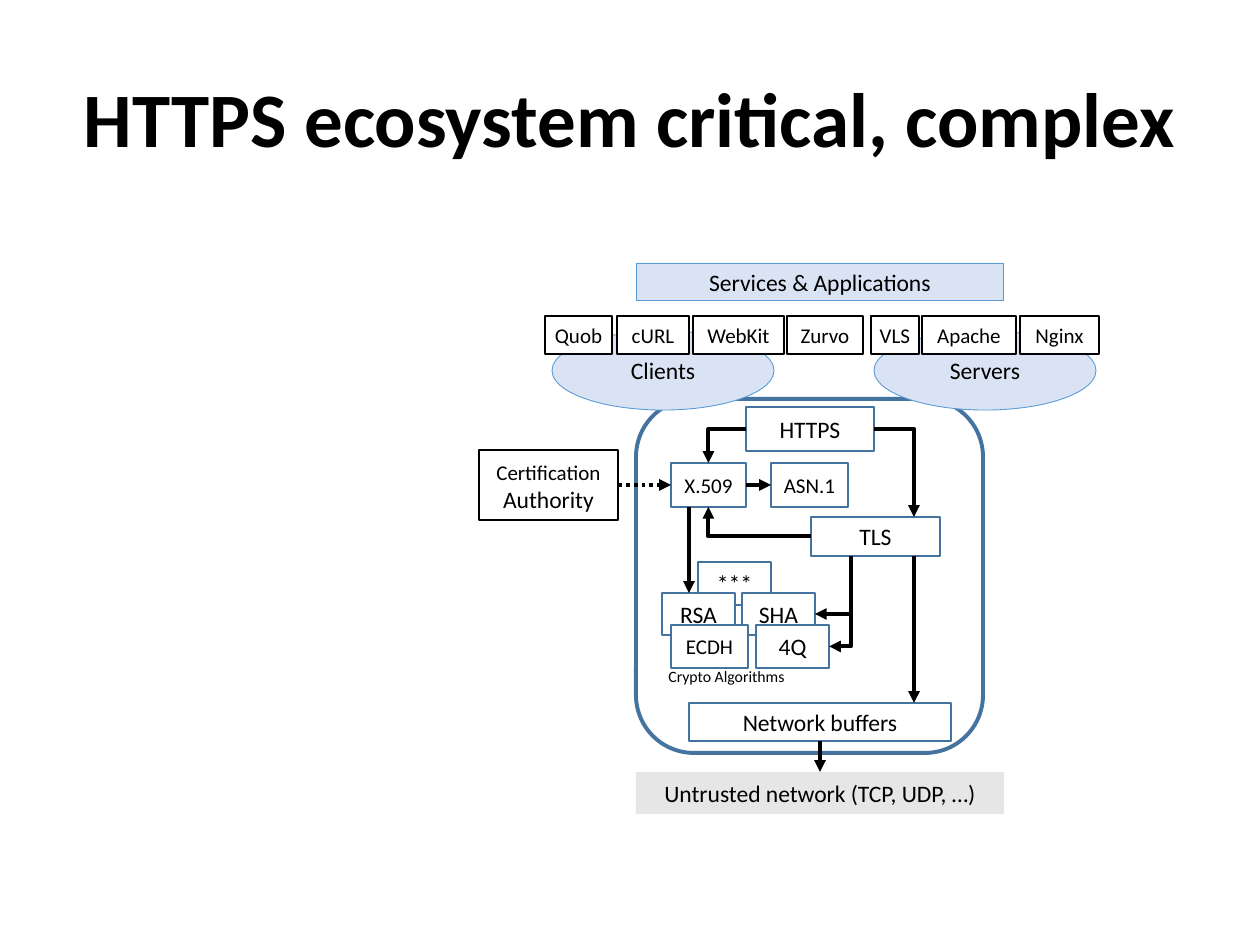
from lxml import etree
from pptx import Presentation
from pptx.dml.color import RGBColor
from pptx.enum.dml import MSO_LINE
from pptx.enum.shapes import MSO_CONNECTOR, MSO_SHAPE
from pptx.enum.text import MSO_ANCHOR, PP_ALIGN
from pptx.oxml.ns import qn
from pptx.util import Emu, Pt

PX_PER_INCH = 126
FONT = "Calibri"
RECT = MSO_SHAPE.RECTANGLE
ELLIPSE = MSO_SHAPE.OVAL
ROUNDED = MSO_SHAPE.ROUNDED_RECTANGLE
STRAIGHT = MSO_CONNECTOR.STRAIGHT
ELBOW = MSO_CONNECTOR.ELBOW
DOTTED = MSO_LINE.ROUND_DOT
MIDDLE = MSO_ANCHOR.MIDDLE
CENTER = PP_ALIGN.CENTER
LEFT = PP_ALIGN.LEFT
TOP_SIDE, LEFT_SIDE, BOTTOM_SIDE, RIGHT_SIDE = range(4)

COLORS = {
    "black": "000000",
    "white": "FFFFFF",
    "module": "43739E",
    "pale": "DAE3F3",
    "pale_edge": "5B9BD5",
    "grey": "E7E6E6",
}

MODULES = [
    ("***", 698, 562, 73, 43, 13.5),
    ("TLS", 811, 517, 129, 39, 13.5),
    ("X.509", 671, 463, 75, 44, 12),
    ("HTTPS", 746, 407, 128, 44, 13.5),
    ("ASN.1", 771, 463, 77, 44, 12),
    ("RSA", 662, 593, 73, 42, 13.5),
    ("SHA", 742, 593, 73, 42, 13.5),
    ("ECDH", 671, 625, 77, 43, 12),
    ("4Q", 756, 625, 73, 43, 13.5),
    ("Network buffers", 689, 703, 262, 38, 13.5),
]

PRODUCTS = [
    ("Quob", 545, 67),
    ("cURL", 617, 72),
    ("WebKit", 693, 91),
    ("Zurvo", 787, 76),
    ("VLS", 871, 48),
    ("Apache", 922, 94),
    ("Nginx", 1020, 79),
]


def px(length):
    return Emu(round(length * 914400 / PX_PER_INCH))


def rgb(color):
    return RGBColor.from_string(COLORS[color])


def style_run(run, size, bold=False):
    run.font.name = FONT
    run.font.size = Pt(size)
    run.font.bold = bold
    run.font.color.rgb = rgb("black")


def write(frame, text, size, align=CENTER, bold=False, wrap=False):
    frame.text = text
    frame.word_wrap = wrap
    frame.vertical_anchor = MIDDLE
    paragraph = frame.paragraphs[0]
    paragraph.alignment = align
    for run in paragraph.runs:
        style_run(run, size, bold)


def add_label(slide, text, x, y, width, height, size, align, bold=False):
    label = slide.shapes.add_textbox(px(x), px(y), px(width), px(height))
    write(label.text_frame, text, size, align, bold, wrap=True)


def add_box(slide, box, fill=None, edge=None, weight=1, text="", size=13.5,
            kind=RECT, wrap=False):
    shape = slide.shapes.add_shape(kind, *map(px, box))
    shape.shadow.inherit = False
    if fill:
        shape.fill.solid()
        shape.fill.fore_color.rgb = rgb(fill)
    else:
        shape.fill.background()
    if edge:
        shape.line.color.rgb = rgb(edge)
        shape.line.width = Pt(weight)
    else:
        shape.line.fill.background()
    if text:
        write(shape.text_frame, text, size, wrap=wrap)
    return shape


def add_arrow(slide, start, end, kind=STRAIGHT, source=None, target=None,
              arrow_end="tailEnd", dash=None):
    arrow = slide.shapes.add_connector(kind, *map(px, start + end))
    if source:
        arrow.begin_connect(*source)
    if target:
        arrow.end_connect(*target)
    arrow.line.color.rgb = rgb("black")
    arrow.line.width = Pt(2.25)
    if dash:
        arrow.line.dash_style = dash
    properties = arrow._element.spPr
    if kind == ELBOW:
        properties.find(qn("a:prstGeom")).set("prst", "bentConnector2")
    line = properties.find(qn("a:ln"))
    etree.SubElement(line, qn(f"a:{arrow_end}"), type="triangle")
    etree.SubElement(properties, qn("a:effectLst"))


def add_authority(slide):
    authority = add_box(slide, (479, 450, 139, 70), edge="black", weight=0.75,
                        text="Certification", size=12, wrap=True)
    second = authority.text_frame.paragraphs[0].add_run()
    second.text = " Authority"
    style_run(second, 13.5)
    return authority


def add_flows(slide, modules, authority, network):
    https, x509, tls = modules["HTTPS"], modules["X.509"], modules["TLS"]
    buffers = modules["Network buffers"]

    add_arrow(slide, (746, 429), (708, 463), ELBOW,
              (https, LEFT_SIDE), (x509, TOP_SIDE))
    add_arrow(slide, (874, 429), (914, 517), ELBOW, (https, RIGHT_SIDE))
    add_arrow(slide, (811, 537), (708, 507), ELBOW,
              (tls, LEFT_SIDE), (x509, BOTTOM_SIDE))
    add_arrow(slide, (829, 647), (851, 556), ELBOW,
              (modules["4Q"], RIGHT_SIDE), arrow_end="headEnd")
    add_arrow(slide, (851, 614), (815, 614),
              target=(modules["SHA"], RIGHT_SIDE))
    add_arrow(slide, (746, 485), (771, 485), STRAIGHT,
              (x509, RIGHT_SIDE), (modules["ASN.1"], LEFT_SIDE))
    add_arrow(slide, (618, 485), (671, 485), STRAIGHT,
              (authority, RIGHT_SIDE), (x509, LEFT_SIDE), dash=DOTTED)
    add_arrow(slide, (689, 507), (689, 593))
    add_arrow(slide, (914, 556), (914, 703))
    add_arrow(slide, (820, 741), (820, 772), STRAIGHT,
              (buffers, BOTTOM_SIDE), (network, TOP_SIDE))


def main():
    deck = Presentation()
    deck.slide_width, deck.slide_height = px(1260), px(945)
    slide = deck.slides.add_slide(deck.slide_layouts[6])

    add_label(slide, "HTTPS ecosystem critical, complex",
              63, 38, 1134, 157, 44, CENTER, bold=True)
    add_box(slide, (636, 399, 347, 354), edge="module", weight=2.25,
            kind=ROUNDED)
    add_box(slide, (636, 263, 368, 38), "pale", "pale_edge", 0.5,
            "Services & Applications")
    network = add_box(slide, (636, 772, 368, 42), "grey",
                      text="Untrusted network (TCP, UDP, …)")
    modules = {
        text: add_box(slide, box, "white", "module", text=text, size=size)
        for text, *box, size in MODULES
    }
    add_label(slide, "Crypto Algorithms", 656, 660, 194, 32, 9, LEFT)
    authority = add_authority(slide)
    add_flows(slide, modules, authority, network)

    for role, x in (("Servers", 874), ("Clients", 552)):
        add_box(slide, (x, 331, 222, 79), "pale", "pale_edge", 0.5, role,
                kind=ELLIPSE)
    for product, x, width in PRODUCTS:
        add_box(slide, (x, 316, width, 38), "white", "black", 1.5, product, 12)

    deck.save("out.pptx")


if __name__ == "__main__":
    main()
